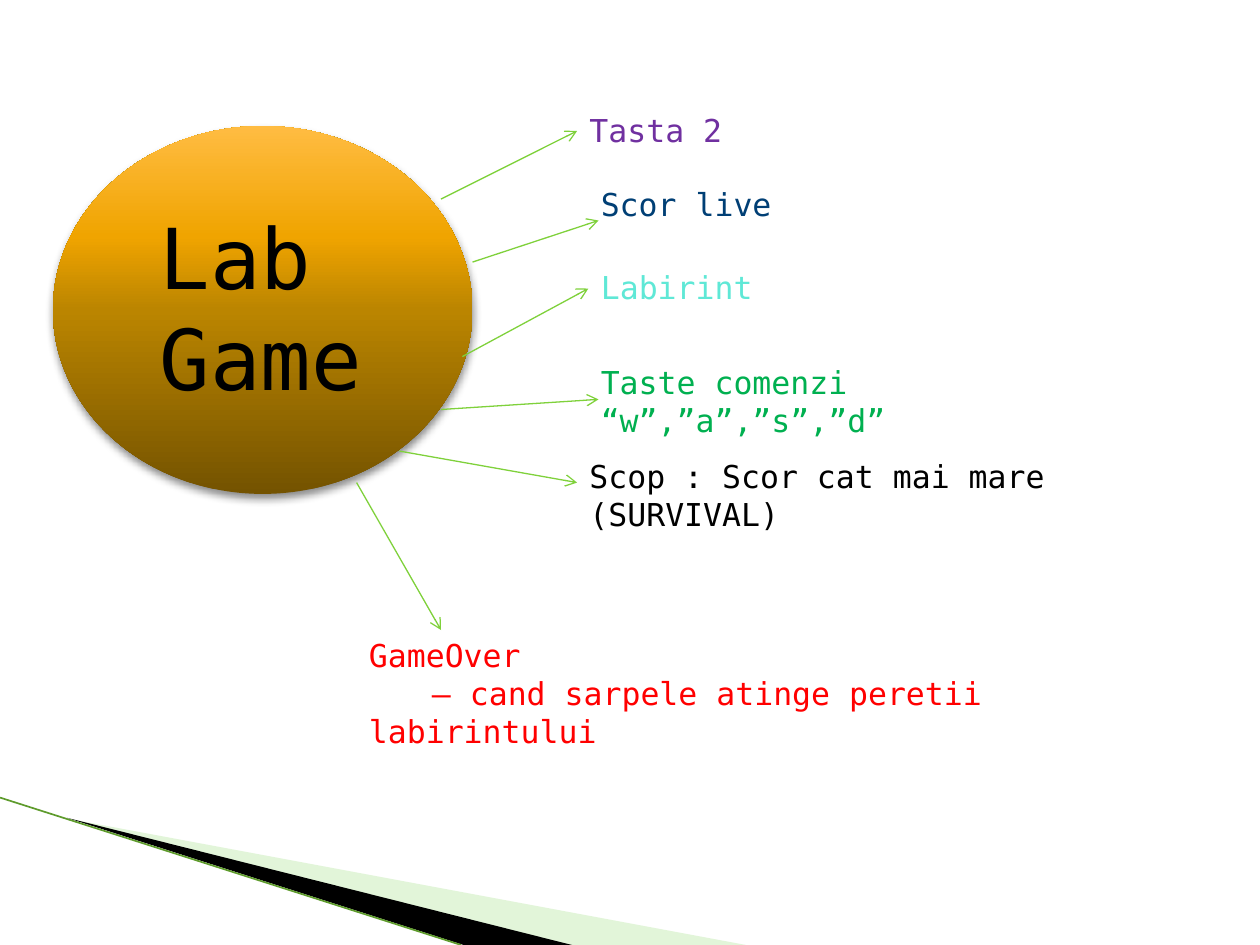
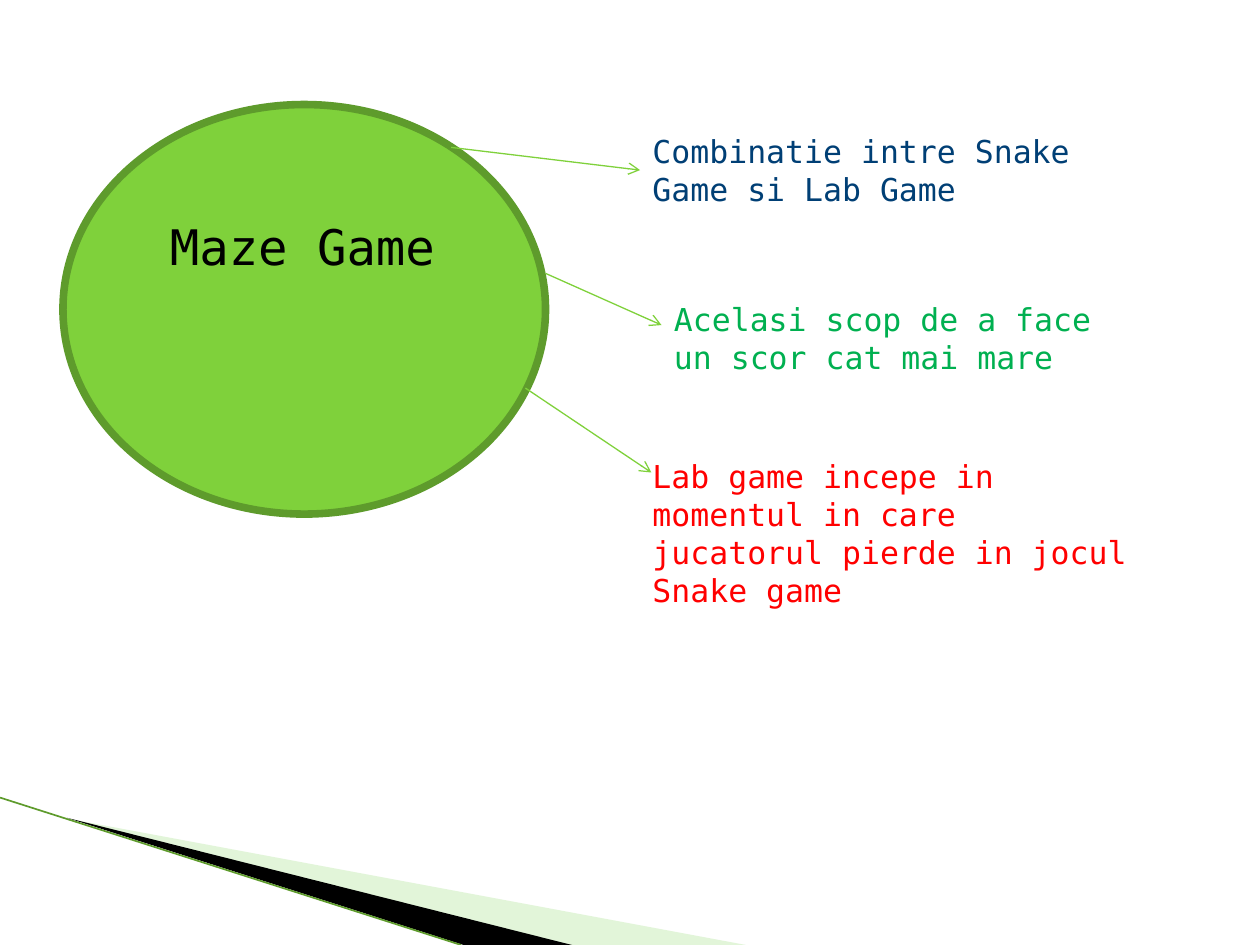
"""Two slides that map each game to its features with arrows."""
import pptx
import pptx.util
import pptx.dml.color
import pptx.enum.shapes
import pptx.enum.text
import pptx.oxml
import pptx.oxml.ns
from pptx.util import Inches

FONT = "DejaVu Sans Mono"
COLORS = {
    "black": "000000", "purple": "7030A0", "navy": "003F75", "aqua": "5FE8D6",
    "red": "FF0000", "green": "00B050", "lime": "7FD13B", "moss": "5E9B2C",
    "pale": "B8E7A1",
}
GOLD = [(0, "745300"), (50, "BB8500"), (70, "F0A400"), (100, "FFBC42")]
WEDGES = [
    ("pale", 40, [(0.55, 6.5), (5.92, 7.5), (4.53, 7.5)]),
    ("black", 100, [(0.53, 6.49), (4.54, 7.5), (3.68, 7.5)]),
]
EDGE = (0, 6.33, 3.66, 7.5)

GAMES = [
    {
        "oval": (0.42, 1, 3.33, 2.92), "gold": True,
        "name": ("Lab Game", 1.17, 1.58, 2.5, 1.72, 48),
        "notes": [
            ("Tasta 2", "purple", 4.58, 0.83, 4.25, 0.4),
            ("Scor live", "navy", 4.67, 1.42, 4.5, 0.4),
            ("Labirint", "aqua", 4.67, 2.08, 4.08, 0.4),
            ("GameOver\n\t– cand sarpele atinge peretii labirintului",
             "red", 2.83, 5, 6.5, 1),
            ("Taste comenzi “w”,”a”,”s”,”d”", "green", 4.67, 2.83, 3.67, 0.71),
            ("Scop : Scor cat mai mare (SURVIVAL)", "black",
             4.58, 3.58, 3.83, 0.71),
        ],
        "arrows": [
            (3.5, 1.58, 4.58, 1.04), (3.75, 2.08, 4.75, 1.75),
            (3.67, 2.83, 4.67, 2.29), (3.5, 3.25, 4.75, 3.17),
            (3.17, 3.58, 4.58, 3.83), (2.83, 3.83, 3.5, 5),
        ],
    },
    {
        "oval": (0.5, 0.83, 3.83, 3.25), "gold": False,
        "name": ("Maze Game", 1.25, 1.67, 2.42, 0.57, 28),
        "notes": [
            ("Combinatie intre Snake Game si Lab Game", "navy",
             5.08, 1, 3.92, 0.71),
            ("Acelasi scop de a face un scor cat mai mare", "green",
             5.25, 2.33, 3.75, 0.71),
            ("Lab game incepe in momentul in care jucatorul pierde in jocul "
             "Snake game", "red", 5.08, 3.58, 4.08, 1.31),
        ],
        "arrows": [
            (3.58, 1.17, 5.08, 1.35), (4.33, 2.17, 5.25, 2.58),
            (4.17, 3.08, 5.17, 3.75),
        ],
    },
]


def rgb(name):
    return pptx.dml.color.RGBColor.from_string(COLORS[name])


def node(xml):
    space = pptx.oxml.ns.nsdecls("a")
    return pptx.oxml.parse_xml(xml.replace(">", f" {space}>", 1))


def find(root, tag):
    return root.find(pptx.oxml.ns.qn(tag))


def add_line(slide, ends, color, width, arrow=False):
    line = slide.shapes.add_connector(
        pptx.enum.shapes.MSO_CONNECTOR.STRAIGHT, *map(Inches, ends))
    line.line.color.rgb = rgb(color)
    line.line.width = pptx.util.Pt(width)
    props = line.element.spPr
    if arrow:
        find(props, "a:ln").append(node('<a:tailEnd type="arrow"></a:tailEnd>'))
    props.append(node("<a:effectLst></a:effectLst>"))


def add_base(slide):
    for color, alpha, points in WEDGES:
        pen = slide.shapes.build_freeform(
            *map(Inches, points[0]), scale=1.0)
        pen.add_line_segments(
            [(Inches(x), Inches(y)) for x, y in points[1:]], close=True)
        wedge = pen.convert_to_shape()
        wedge.shadow.inherit = False
        wedge.line.fill.background()
        wedge.fill.solid()
        wedge.fill.fore_color.rgb = rgb(color)
        if alpha < 100:
            fill = find(wedge.element.spPr, "a:solidFill")
            fill[0].append(node(f'<a:alpha val="{alpha * 1000}"></a:alpha>'))
    add_line(slide, EDGE, "moss", 0.95)


def paint_gold(oval):
    oval.fill.background()
    oval.line.fill.background()
    props = oval.element.spPr
    stops = "".join(
        f'<a:gs pos="{pos * 1000}"><a:srgbClr val="{color}"/></a:gs>'
        for pos, color in GOLD)
    props.replace(find(props, "a:noFill"), node(
        f'<a:gradFill><a:gsLst>{stops}</a:gsLst>'
        '<a:lin ang="16200000" scaled="0"/></a:gradFill>'))
    find(props, "a:effectLst").append(node(
        f'<a:outerShdw blurRad="{pptx.util.Pt(5)}" dist="{pptx.util.Pt(3)}" '
        'dir="5400000" rotWithShape="0"><a:srgbClr val="000000">'
        '<a:alpha val="45000"/></a:srgbClr></a:outerShdw>'))


def add_oval(slide, box, gold):
    oval = slide.shapes.add_shape(
        pptx.enum.shapes.MSO_SHAPE.OVAL, *map(Inches, box))
    oval.shadow.inherit = False
    if gold:
        paint_gold(oval)
    else:
        oval.fill.solid()
        oval.fill.fore_color.rgb = rgb("lime")
        oval.line.color.rgb = rgb("moss")
        oval.line.width = pptx.util.Pt(4.33)


def add_text(slide, text, box, color, size=18):
    frame = slide.shapes.add_textbox(*map(Inches, box)).text_frame
    frame.word_wrap = True
    frame.auto_size = pptx.enum.text.MSO_AUTO_SIZE.SHAPE_TO_FIT_TEXT
    frame.text = text
    for para in frame.paragraphs:
        for run in para.runs:
            run.font.name = FONT
            run.font.size = pptx.util.Pt(size)
            run.font.color.rgb = rgb(color)


def main():
    deck = pptx.Presentation()
    deck.slide_width, deck.slide_height = Inches(10), Inches(7.5)
    for game in GAMES:
        slide = deck.slides.add_slide(deck.slide_layouts[6])
        add_base(slide)
        add_oval(slide, game["oval"], game["gold"])
        name, *box, size = game["name"]
        add_text(slide, name, box, "black", size)
        for text, color, *box in game["notes"]:
            add_text(slide, text, box, color)
        for ends in game["arrows"]:
            add_line(slide, ends, "lime", 0.75, arrow=True)
    deck.save("out.pptx")


if __name__ == "__main__":
    main()
